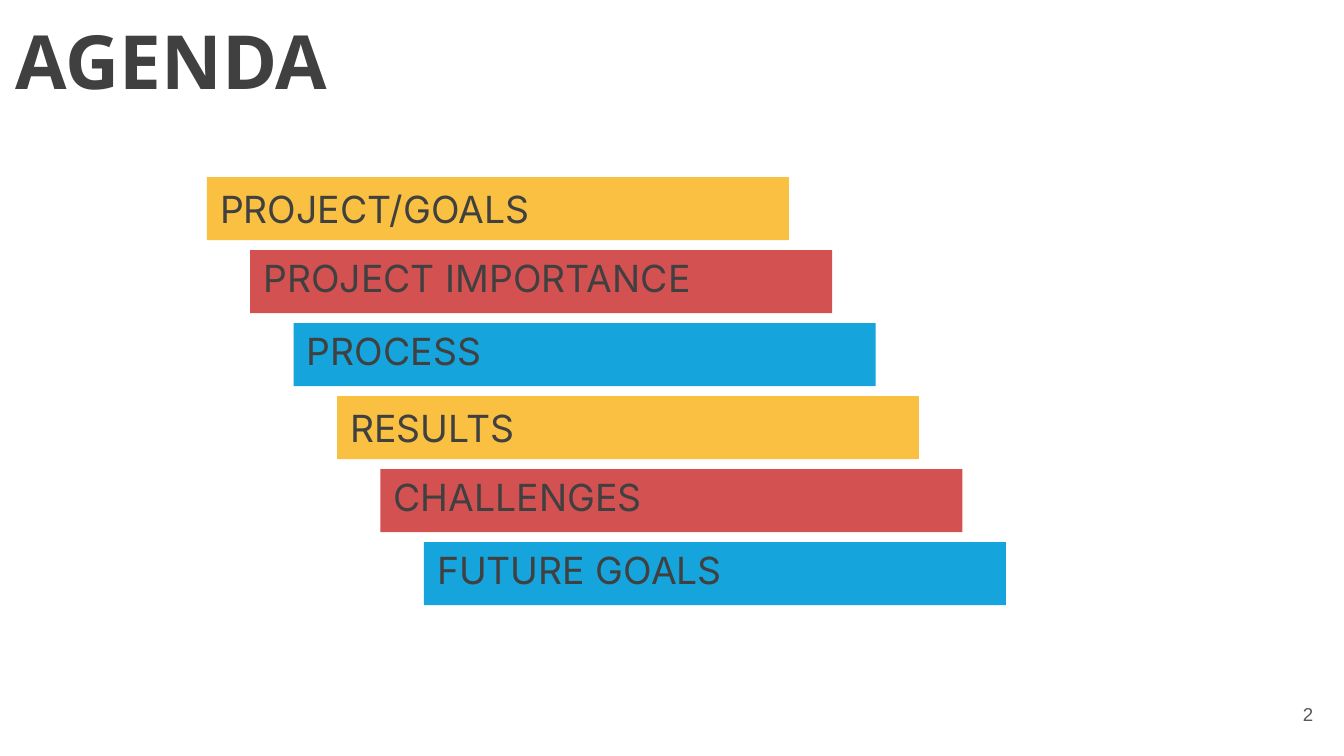
from pptx import Presentation
from pptx.dml.color import RGBColor
from pptx.enum.shapes import MSO_SHAPE
from pptx.enum.text import MSO_ANCHOR, PP_ALIGN
from pptx.util import Cm, Pt

DARK = RGBColor(0x40, 0x40, 0x40)
GRAY = RGBColor(0x59, 0x59, 0x59)
GOLD = RGBColor(0xF9, 0xC0, 0x42)
RED = RGBColor(0xD4, 0x51, 0x52)
BLUE = RGBColor(0x16, 0xA4, 0xDD)

TITLE = "AGENDA"
PAGE = "2"
ITEMS = [
    "PROJECT/GOALS",
    "PROJECT IMPORTANCE",
    "PROCESS",
    "RESULTS",
    "CHALLENGES",
    "FUTURE GOALS",
]
STYLES = [(GOLD, 1.0), (RED, 0.8), (BLUE, 0.8)]

LEFT, TOP = 3.91, 3.35
STEP_X, STEP_Y = 0.82, 1.38
WIDTH, HEIGHT = 11, 1.19

HEAD = {"name": "Open Sans", "size": Pt(40), "bold": True}
BODY = {"name": "Inter", "size": Pt(20)}
SMALL = {"name": "Arial", "size": Pt(10)}


def write(shape, text, font, color, anchor=MSO_ANCHOR.MIDDLE,
          align=PP_ALIGN.LEFT, space=1.0):
    frame = shape.text_frame
    layout = {"word_wrap": True, "vertical_anchor": anchor}
    for side in ("left", "top", "right", "bottom"):
        layout[f"margin_{side}"] = Cm(0.25)
    for key, value in layout.items():
        setattr(frame, key, value)
    para = frame.paragraphs[0]
    para.alignment = align
    para.line_spacing = space
    run = para.add_run()
    run.text = text
    for key, value in font.items():
        setattr(run.font, key, value)
    run.font.color.rgb = color


def add_bar(slide, index, text):
    fill, space = STYLES[index % len(STYLES)]
    bar = slide.shapes.add_shape(
        MSO_SHAPE.RECTANGLE,
        Cm(LEFT + index * STEP_X), Cm(TOP + index * STEP_Y),
        Cm(WIDTH), Cm(HEIGHT))
    bar.shadow.inherit = False
    bar.fill.solid()
    bar.fill.fore_color.rgb = fill
    bar.line.fill.background()
    write(bar, text, BODY, DARK, space=space)


def main():
    deck = Presentation()
    deck.slide_width, deck.slide_height = Cm(25.4), Cm(14.29)
    slide = deck.slides.add_slide(deck.slide_layouts[6])
    title = slide.shapes.add_textbox(Cm(0.05), Cm(0.03), Cm(10.19), Cm(1.6))
    write(title, TITLE, HEAD, DARK, anchor=MSO_ANCHOR.TOP)
    for index, text in enumerate(ITEMS):
        add_bar(slide, index, text)
    page = slide.shapes.add_textbox(Cm(23.55), Cm(12.95), Cm(1.52), Cm(1.09))
    write(page, PAGE, SMALL, GRAY, align=PP_ALIGN.RIGHT)
    deck.save("out.pptx")


if __name__ == "__main__":
    main()
